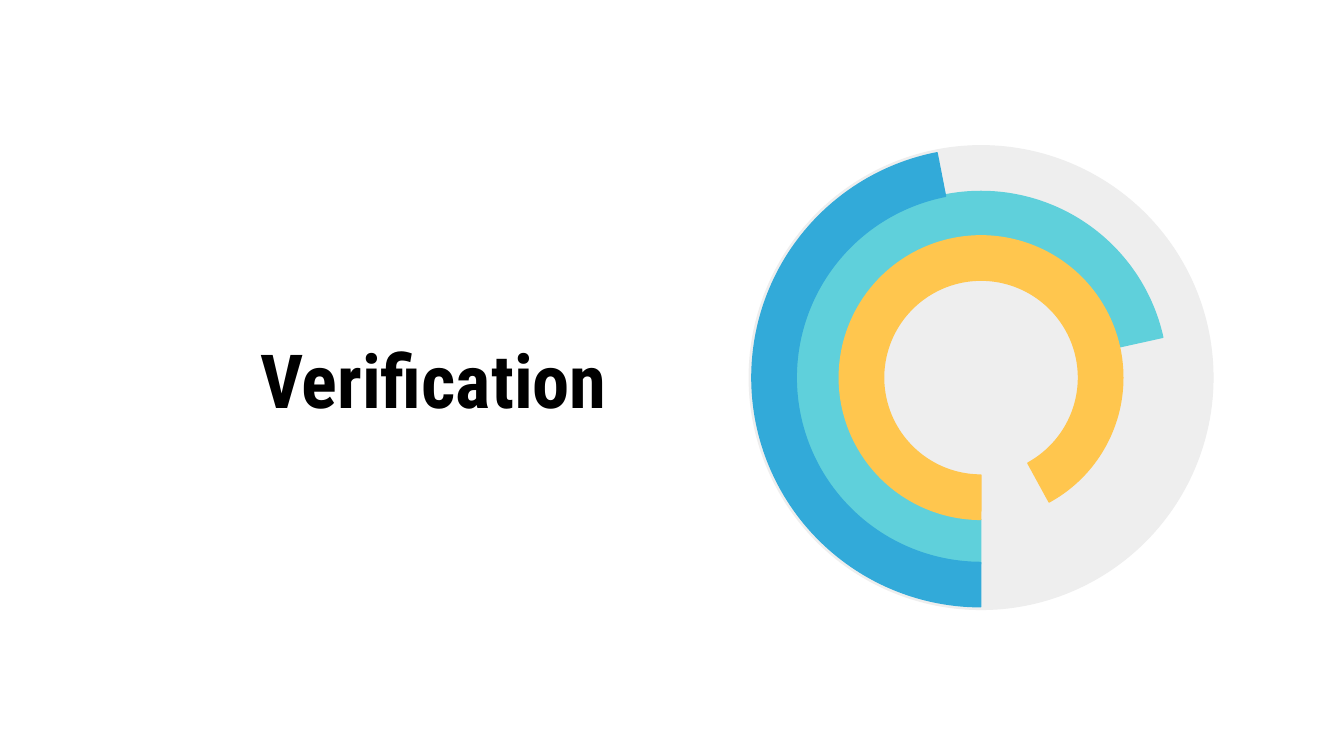
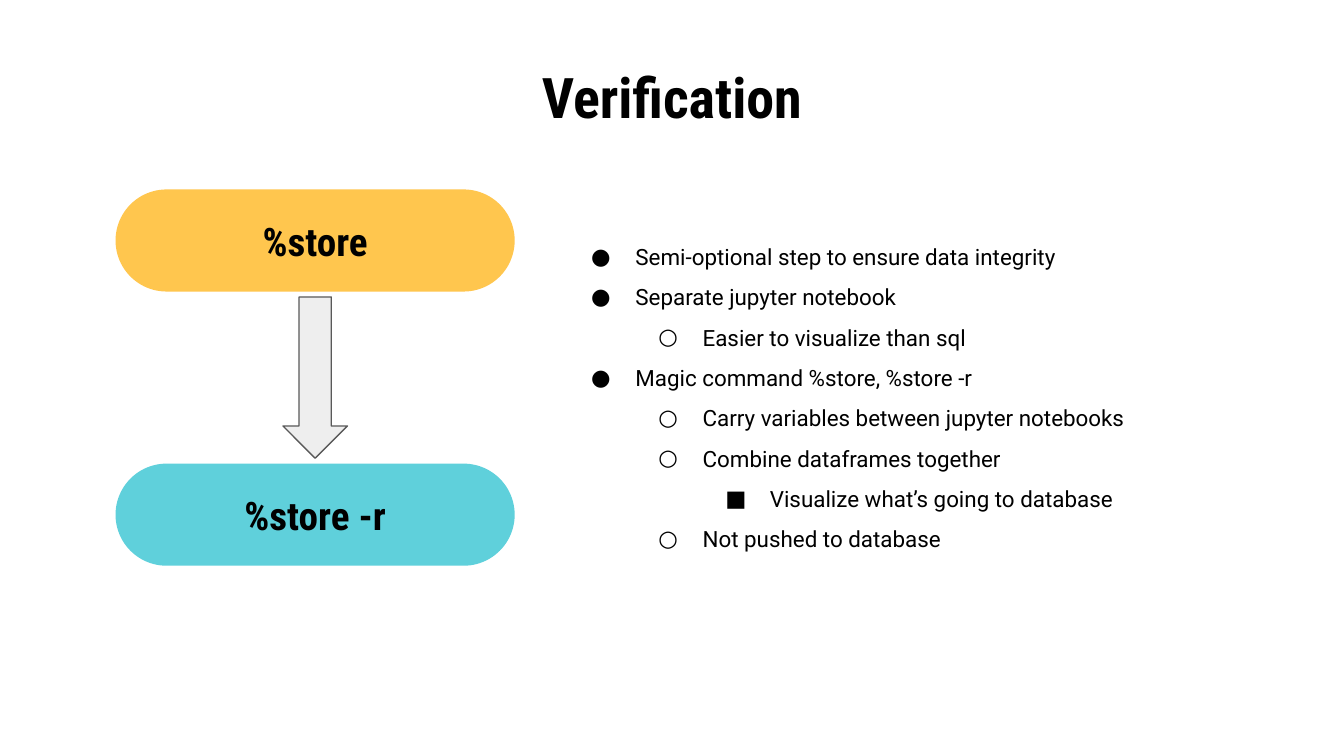
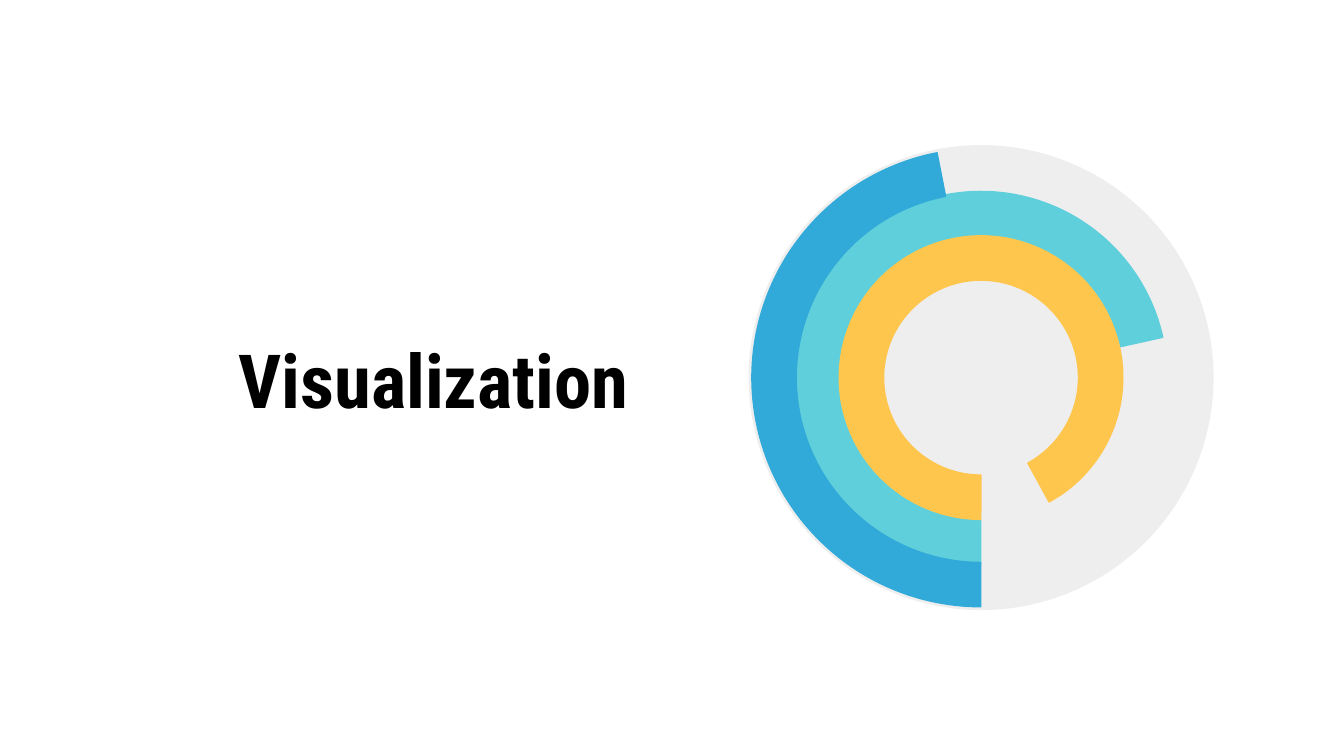
from dataclasses import dataclass
from typing import NamedTuple

from lxml.etree import SubElement
from pptx import Presentation
from pptx.dml.color import RGBColor
from pptx.enum.shapes import MSO_SHAPE
from pptx.enum.text import MSO_ANCHOR, PP_ALIGN
from pptx.oxml.ns import qn
from pptx.presentation import Presentation as Deck
from pptx.shapes.autoshape import Shape
from pptx.slide import Slide
from pptx.text.text import TextFrame, _Paragraph as Paragraph
from pptx.util import Inches, Pt


# Shared look
@dataclass(frozen=True)
class Theme:
    black: str = "000000"
    white: str = "FFFFFF"
    gray: str = "EEEEEE"
    outline: str = "595959"
    teal: str = "5FD0DB"
    yellow: str = "FFC64E"
    blue: str = "32AAD9"
    heading_font: str = "Roboto Condensed"
    body_font: str = "Roboto"
    section_size: float = 40
    title_size: float = 30
    pill_size: float = 21
    body_size: float = 12
    line_width: float = 0.75


THEME = Theme()
BULLETS = "●○■"


class Box(NamedTuple):
    left: float
    top: float
    width: float
    height: float

    def lengths(self) -> list[Inches]:
        return [Inches(value) for value in self]


class Ring(NamedTuple):
    diameter: float
    end_angle: float
    color: str


class Pill(NamedTuple):
    label: str
    top: float
    color: str


class Item(NamedTuple):
    level: int
    text: str


# Section dial: rings run clockwise from the bottom of the disc
DIAL_CENTER = (7.3, 2.81)
DISC_DIAMETER = 3.46
RING_START = 90.1
RING_THICKNESS = 0.33
RINGS = [
    Ring(2.77, 347.5, THEME.teal),
    Ring(2.11, 61.3, THEME.yellow),
    Ring(3.41, 258.93, THEME.blue),
]

# Store and restore flow
PILL_LEFT, PILL_WIDTH, PILL_HEIGHT = 0.86, 2.97, 0.76
ARROW_WIDTH, ARROW_GAP = 0.48, 0.04
PILLS = [
    Pill("%store", 1.41, THEME.yellow),
    Pill("%store -r", 3.45, THEME.teal),
]
ITEMS = [
    Item(0, "Semi-optional step to ensure data integrity"),
    Item(0, "Separate jupyter notebook"),
    Item(1, "Easier to visualize than sql"),
    Item(0, "Magic command %store, %store -r"),
    Item(1, "Carry variables between jupyter notebooks"),
    Item(1, "Combine dataframes together"),
    Item(2, "Visualize what’s going to database"),
    Item(1, "Not pushed to database"),
]


# Drawing helpers
def write_text(paragraph: Paragraph, text: str, *, size: float,
               font: str = THEME.heading_font, bold: bool = True,
               align: PP_ALIGN = PP_ALIGN.CENTER) -> None:
    paragraph.alignment = align
    paragraph.font.size = Pt(size)
    run = paragraph.add_run()
    run.text = text
    run.font.name = font
    run.font.size = Pt(size)
    run.font.bold = bold
    run.font.color.rgb = RGBColor.from_string(THEME.black)


def add_text_frame(slide: Slide, box: Box, anchor: MSO_ANCHOR) -> TextFrame:
    frame = slide.shapes.add_textbox(*box.lengths()).text_frame
    frame.word_wrap = True
    frame.vertical_anchor = anchor
    frame.margin_left = frame.margin_right = Inches(0.1)
    frame.margin_top = frame.margin_bottom = Inches(0.1)
    return frame


def add_heading(slide: Slide, text: str, box: Box, size: float) -> None:
    frame = add_text_frame(slide, box, MSO_ANCHOR.MIDDLE)
    write_text(frame.paragraphs[0], text, size=size)


def add_filled_shape(slide: Slide, kind: MSO_SHAPE, box: Box, fill: str,
                     line: str | None = None) -> Shape:
    shape = slide.shapes.add_shape(kind, *box.lengths())
    shape.shadow.inherit = False
    shape.fill.solid()
    shape.fill.fore_color.rgb = RGBColor.from_string(fill)
    if line:
        shape.line.color.rgb = RGBColor.from_string(line)
        shape.line.width = Pt(THEME.line_width)
    else:
        shape.line.fill.background()
    return shape


def format_bullet(paragraph: Paragraph, level: int) -> None:
    paragraph.level = level
    paragraph.line_spacing = 1.5
    properties = paragraph._p.get_or_add_pPr()
    properties.set("marL", str(Inches(0.5 * (level + 1))))
    properties.set("indent", str(Inches(-0.33)))
    color = SubElement(properties, qn("a:buClr"))
    SubElement(color, qn("a:srgbClr"), val=THEME.black)
    SubElement(properties, qn("a:buFont"), typeface=THEME.body_font)
    SubElement(properties, qn("a:buChar"), char=BULLETS[level])


def add_bullets(slide: Slide, items: list[Item], box: Box) -> None:
    frame = add_text_frame(slide, box, MSO_ANCHOR.TOP)
    frame.margin_top = Inches(0.3)
    for index, item in enumerate(items):
        paragraph = frame.add_paragraph() if index else frame.paragraphs[0]
        format_bullet(paragraph, item.level)
        write_text(paragraph, item.text, size=THEME.body_size,
                   font=THEME.body_font, bold=False, align=PP_ALIGN.LEFT)


def dial_box(diameter: float) -> Box:
    center_x, center_y = DIAL_CENTER
    return Box(center_x - diameter / 2, center_y - diameter / 2,
               diameter, diameter)


def angle_adjustment(degrees: float) -> float:
    """Angles are stored in 60000ths of a degree, adjustments in 100000ths."""
    return degrees * 60000 / 100000


def add_dial(slide: Slide) -> None:
    add_filled_shape(slide, MSO_SHAPE.OVAL, dial_box(DISC_DIAMETER), THEME.gray)
    for ring in RINGS:
        arc = add_filled_shape(slide, MSO_SHAPE.BLOCK_ARC,
                               dial_box(ring.diameter), ring.color, ring.color)
        arc.adjustments[0] = angle_adjustment(RING_START)
        arc.adjustments[1] = angle_adjustment(ring.end_angle)
        arc.adjustments[2] = RING_THICKNESS / ring.diameter


def add_pill(slide: Slide, pill: Pill) -> None:
    box = Box(PILL_LEFT, pill.top, PILL_WIDTH, PILL_HEIGHT)
    shape = add_filled_shape(slide, MSO_SHAPE.ROUNDED_RECTANGLE, box, pill.color)
    shape.adjustments[0] = 0.5
    shape.text_frame.vertical_anchor = MSO_ANCHOR.MIDDLE
    write_text(shape.text_frame.paragraphs[0], pill.label, size=THEME.pill_size)


def add_flow_arrow(slide: Slide, upper: Pill, lower: Pill) -> None:
    top = upper.top + PILL_HEIGHT + ARROW_GAP
    left = PILL_LEFT + (PILL_WIDTH - ARROW_WIDTH) / 2
    box = Box(left, top, ARROW_WIDTH, lower.top - ARROW_GAP - top)
    add_filled_shape(slide, MSO_SHAPE.DOWN_ARROW, box, THEME.gray, THEME.outline)


# Slides
def add_blank_slide(presentation: Deck) -> Slide:
    slide = presentation.slides.add_slide(presentation.slide_layouts[6])
    slide.background.fill.solid()
    slide.background.fill.fore_color.rgb = RGBColor.from_string(THEME.white)
    return slide


def add_section_slide(presentation: Deck, title: str) -> None:
    slide = add_blank_slide(presentation)
    add_heading(slide, title, Box(1.3, 2.14, 3.85, 1.35), THEME.section_size)
    add_dial(slide)


def add_store_slide(presentation: Deck) -> None:
    slide = add_blank_slide(presentation)
    add_heading(slide, "Verification", Box(0.5, 0.45, 9, 0.53), THEME.title_size)
    add_bullets(slide, ITEMS, Box(4.13, 1.41, 5.37, 3.7))
    for pill in PILLS:
        add_pill(slide, pill)
    add_flow_arrow(slide, *PILLS)


def main() -> None:
    presentation = Presentation()
    # Widescreen, 16:9
    presentation.slide_width = Inches(10)
    presentation.slide_height = Inches(10 * 9 / 16)
    add_section_slide(presentation, "Verification")
    add_store_slide(presentation)
    add_section_slide(presentation, "Visualization")
    presentation.save("out.pptx")


if __name__ == "__main__":
    main()
